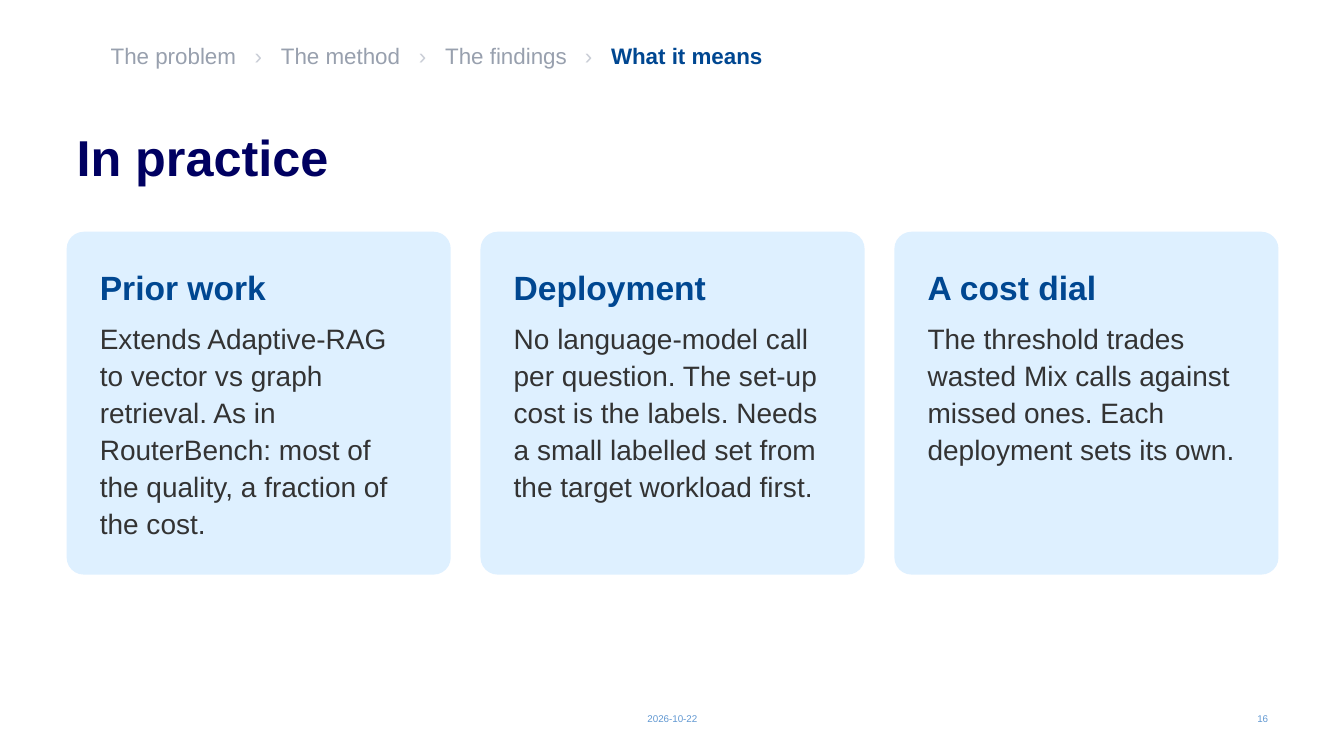
"""Build the "In practice" slide: a breadcrumb, a title, three cards and a footer."""
from lxml import etree
from pptx import Presentation
from pptx.dml.color import RGBColor
from pptx.enum.shapes import MSO_SHAPE
from pptx.enum.text import MSO_ANCHOR, MSO_AUTO_SIZE, PP_ALIGN
from pptx.oxml.ns import qn
from pptx.util import Cm, Pt

ROUNDED = MSO_SHAPE.ROUNDED_RECTANGLE
TOP, MIDDLE = MSO_ANCHOR.TOP, MSO_ANCHOR.MIDDLE
LEFT, CENTER, RIGHT = PP_ALIGN.LEFT, PP_ALIGN.CENTER, PP_ALIGN.RIGHT
NO_FIT = MSO_AUTO_SIZE.NONE

NAVY = RGBColor(0x00, 0x00, 0x61)
BLUE = RGBColor(0x00, 0x47, 0x91)
PALE_BLUE = RGBColor(0xDE, 0xF0, 0xFF)
FOOTER_BLUE = RGBColor(0x61, 0x98, 0xD2)
GREY = RGBColor(0x98, 0xA0, 0xAE)
LIGHT_GREY = RGBColor(0xC9, 0xCD, 0xD6)
DARK = RGBColor(0x33, 0x33, 0x33)


def set_frame(box, left, top, right, bottom, anchor=TOP):
    frame = box.text_frame
    values = {
        "auto_size": NO_FIT, "word_wrap": True, "vertical_anchor": anchor,
        "margin_left": Cm(left), "margin_top": Cm(top),
        "margin_right": Cm(right), "margin_bottom": Cm(bottom),
    }
    for name, value in values.items():
        setattr(frame, name, value)
    return frame


def add_span(para, text, size, color, bold=False):
    span = para.add_run()
    span.text = text
    values = {"name": "Arial", "size": Pt(size), "bold": bold}
    for name, value in values.items():
        setattr(span.font, name, value)
    span.font.color.rgb = color


deck = Presentation()
deck.slide_width, deck.slide_height = Cm(33.87), Cm(19.05)
page = deck.slides.add_slide(deck.slide_layouts[5])

title = page.shapes.title
title_place = {"left": 1.68, "top": 3.05, "width": 30.53, "height": 1.57}
for name, value in title_place.items():
    setattr(title, name, Cm(value))
para = set_frame(title, 0.25, 0.3, 0.25, 0.13).paragraphs[0]
para.alignment, para.line_spacing = LEFT, 0.9
add_span(para, "In practice", 36, NAVY, True)

breadcrumb = page.shapes.add_textbox(Cm(2.79), Cm(1.02), Cm(27.94), Cm(0.97))
para = set_frame(breadcrumb, 0, 0, 0, 0).paragraphs[0]
tab_list = etree.SubElement(para._p.get_or_add_pPr(), qn("a:tabLst"))
for separator_left in (3.63, 7.77, 11.95):
    for stop in (separator_left, separator_left + 0.66):
        etree.SubElement(tab_list, qn("a:tab"), pos=str(Cm(stop)), algn="l")
para.line_spacing, para.space_after = 1.05, Pt(6)
for step in ("The problem", "The method", "The findings"):
    add_span(para, step, 16, GREY)
    add_span(para, "\t›\t", 16, LIGHT_GREY)
add_span(para, "What it means", 16, BLUE, True)

footers = [
    ("2026-10-22", 11.23, 11.43, CENTER),
    ("16", 24.59, 7.62, RIGHT),
]
for text, left, width, alignment in footers:
    footer = page.shapes.add_textbox(Cm(left), Cm(17.98), Cm(width), Cm(0.27))
    para = set_frame(footer, 0.25, 0, 0.25, 0, MIDDLE).paragraphs[0]
    para.alignment = alignment
    add_span(para, text, 7, FOOTER_BLUE)

CARD_LEFT, CARD_WIDTH, CARD_GAP, CARD_INSET = 1.68, 9.68, 0.75, 0.71
cards = [
    ("Prior work",
     "Extends Adaptive-RAG to vector vs graph retrieval. "
     "As in RouterBench: most of the quality, a fraction of the cost."),
    ("Deployment",
     "No language-model call per question. The set-up cost is the labels. "
     "Needs a small labelled set from the target workload first."),
    ("A cost dial",
     "The threshold trades wasted Mix calls against missed ones. "
     "Each deployment sets its own."),
]
for index, (heading, body) in enumerate(cards):
    left = CARD_LEFT + index * (CARD_WIDTH + CARD_GAP)
    card = page.shapes.add_shape(ROUNDED, Cm(left), Cm(5.84), Cm(CARD_WIDTH), Cm(8.64))
    card.adjustments[0] = 0.05
    card.shadow.inherit = False
    card.fill.solid()
    card.fill.fore_color.rgb = PALE_BLUE
    card.line.fill.background()
    frame = set_frame(card, CARD_INSET, CARD_INSET, CARD_INSET, CARD_INSET)
    lines = [
        (frame.paragraphs[0], heading, 24, BLUE, True, 1.05, 8),
        (frame.add_paragraph(), body, 20, DARK, False, 1.1, 6),
    ]
    for para, text, size, color, bold, spacing, after in lines:
        para.alignment, para.line_spacing, para.space_after = LEFT, spacing, Pt(after)
        add_span(para, text, size, color, bold)

deck.save("out.pptx")
